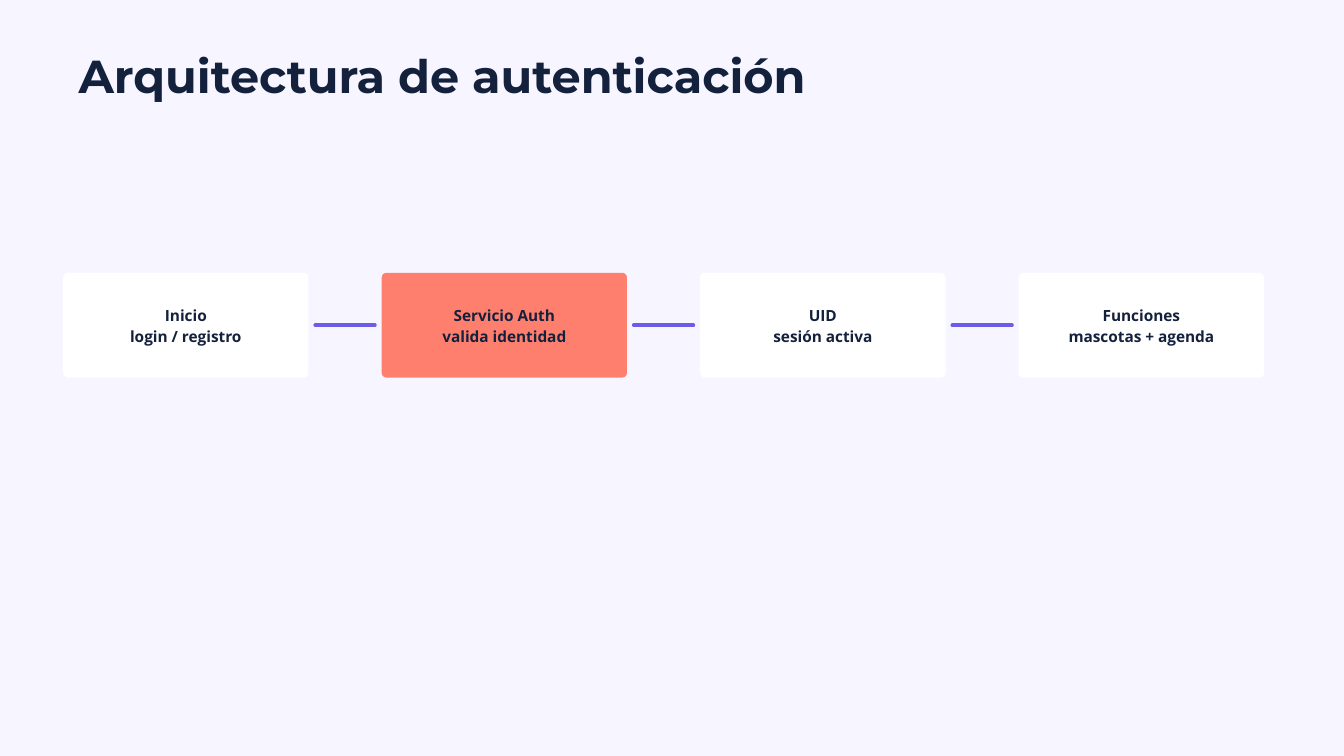
import pptx
import pptx.dml.color
import pptx.enum.shapes
import pptx.enum.text
import pptx.oxml.ns
import pptx.util
from lxml import etree

Inches = pptx.util.Inches
Pt = pptx.util.Pt

COLORS = {
    "background": "F7F5FF",
    "ink": "14213D",
    "card": "FFFFFF",
    "highlight": "FF7F6E",
    "link": "6C5CE7",
}

# Card lines and fill
STEPS = [
    ("Inicio\nlogin / registro", "card"),
    ("Servicio Auth\nvalida identidad", "highlight"),
    ("UID\nsesión activa", "card"),
    ("Funciones\nmascotas + agenda", "card"),
]


def color(name):
    return pptx.dml.color.RGBColor.from_string(COLORS[name])


def write(frame, text, font, size, spacing, align):
    """Fill a frame with bold ink text, one paragraph per line."""
    frame.word_wrap = True
    frame.text = text
    for para in frame.paragraphs:
        para.alignment = align
        para.line_spacing = Pt(spacing)
        for span in para.runs:
            span.font.name = font
            span.font.size = Pt(size)
            span.font.bold = True
            span.font.color.rgb = color("ink")


def set_margins(frame, side, bottom):
    frame.margin_left = frame.margin_top = frame.margin_right = Inches(side)
    frame.margin_bottom = Inches(bottom)


def add_title(page, left, top, width, height):
    box = page.shapes.add_textbox(
        Inches(left), Inches(top), Inches(width), Inches(height))
    set_margins(box.text_frame, 0, 0)
    write(box.text_frame, "Arquitectura de autenticación", "Montserrat",
          49.5, 53.5, pptx.enum.text.PP_ALIGN.LEFT)


def add_card(page, text, fill, left, top, width, height):
    card = page.shapes.add_shape(
        pptx.enum.shapes.MSO_SHAPE.ROUNDED_RECTANGLE,
        Inches(left), Inches(top), Inches(width), Inches(height))
    card.adjustments[0] = 0.07 / height
    card.shadow.inherit = False
    card.fill.solid()
    card.fill.fore_color.rgb = color(fill)
    card.line.fill.background()
    frame = card.text_frame
    frame.vertical_anchor = pptx.enum.text.MSO_ANCHOR.MIDDLE
    set_margins(frame, 0.06, 0.09)
    write(frame, text, "Open Sans", 16.5, 23.1,
          pptx.enum.text.PP_ALIGN.CENTER)


def add_link(page, start, end, y):
    """Draw a horizontal line with round ends."""
    link = page.shapes.add_connector(
        pptx.enum.shapes.MSO_CONNECTOR.STRAIGHT,
        Inches(start), Inches(y), Inches(end), Inches(y))
    link.line.color.rgb = color("link")
    link.line.width = Pt(3.75)
    link.line._get_or_add_ln().set("cap", "rnd")
    etree.SubElement(link._element.spPr, pptx.oxml.ns.qn("a:effectLst"))


def add_flow(page, left, top, width, height):
    """Spread the steps evenly over the box and link neighbours."""
    card_width = 3.65
    link_margin = 0.1
    pitch = (width - card_width) / (len(STEPS) - 1)
    for index, (text, fill) in enumerate(STEPS):
        x = left + index * pitch
        if index:
            add_link(page, x - pitch + card_width + link_margin,
                     x - link_margin, top + height / 2)
        add_card(page, text, fill, x, top, card_width, height)


def main():
    deck = pptx.Presentation()
    deck.slide_width = Inches(20)
    deck.slide_height = Inches(11.25)
    page = deck.slides.add_slide(deck.slide_layouts[6])
    page.background.fill.solid()
    page.background.fill.fore_color.rgb = color("background")
    add_title(page, 1.17, 0.79, 15.62, 0.76)
    add_flow(page, 0.94, 4.06, 17.87, 1.56)
    deck.save("out.pptx")


if __name__ == "__main__":
    main()
